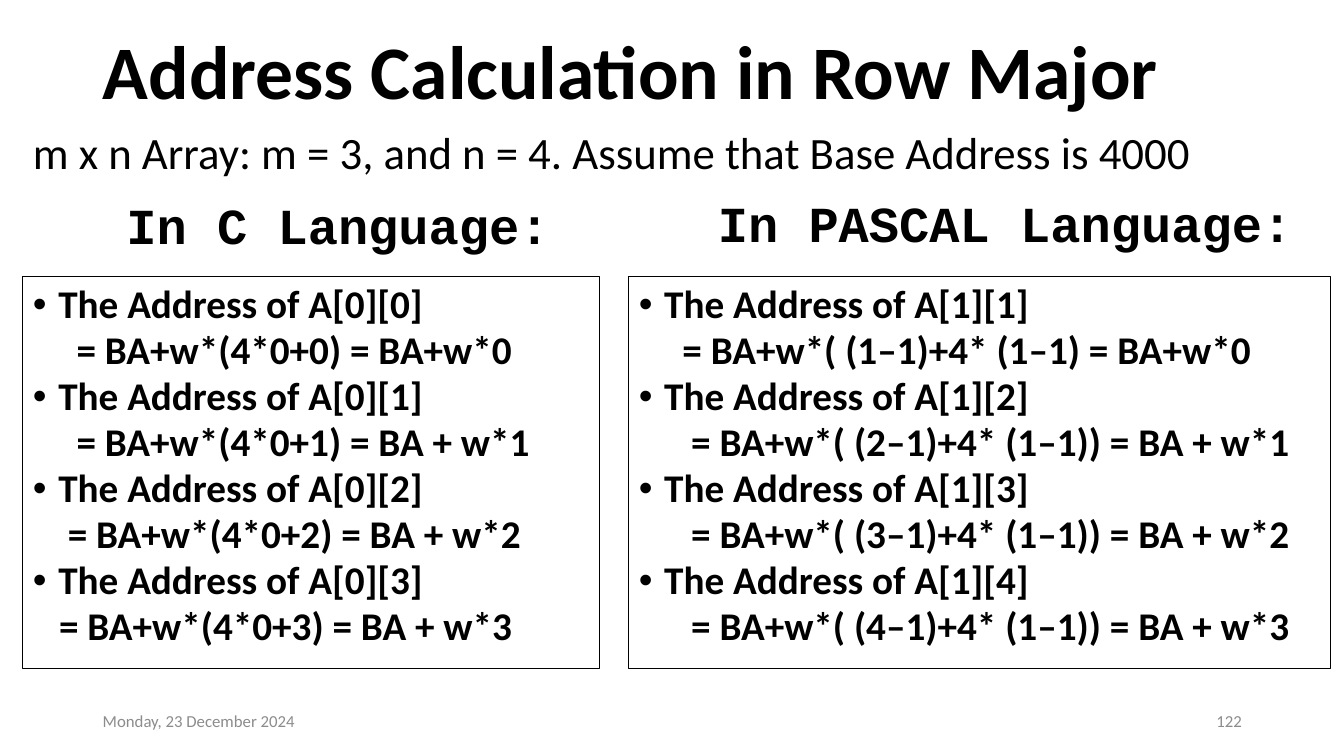
import pptx
import pptx.dml.color
import pptx.enum.shapes
import pptx.enum.text
import pptx.util
from lxml import etree
from pptx.oxml.ns import qn

Cm = pptx.util.Cm
Pt = pptx.util.Pt
ALIGN = pptx.enum.text.PP_ALIGN
ANCHOR = pptx.enum.text.MSO_ANCHOR

BLACK = pptx.dml.color.RGBColor(0x00, 0x00, 0x00)
GREY = pptx.dml.color.RGBColor(0x8C, 0x8C, 0x8C)

BULLET_INDENT = 0.64
FORMULA_STEP = 0.22

C_STEPS = [
    ("[0][0]", 5, "= BA+w*(4*0+0) = BA+w*0"),
    ("[0][1]", 5, "= BA+w*(4*0+1) = BA + w*1"),
    ("[0][2]", 4, "= BA+w*(4*0+2) = BA + w*2"),
    ("[0][3]", 3, "= BA+w*(4*0+3) = BA + w*3"),
]
PASCAL_STEPS = [
    ("[1][1]", 5, "= BA+w*( (1–1)+4* (1–1) = BA+w*0"),
    ("[1][2]", 6, "= BA+w*( (2–1)+4* (1–1)) = BA + w*1"),
    ("[1][3]", 6, "= BA+w*( (3–1)+4* (1–1)) = BA + w*2"),
    ("[1][4]", 6, "= BA+w*( (4–1)+4* (1–1)) = BA + w*3"),
]


def assign(target, values):
    for name, value in values.items():
        setattr(target, name, value)


class LectureSlide:
    title_font = {"name": "Calibri", "size": Pt(54), "bold": True}
    intro_font = {"name": "Calibri", "size": Pt(32), "bold": False}
    heading_font = {"name": "Courier New", "size": Pt(36), "bold": True}
    step_font = {"name": "Calibri", "size": Pt(28), "bold": True}
    footer_font = {"name": "Calibri", "size": Pt(12), "bold": False}

    def __init__(self, deck):
        self.slide = deck.slides.add_slide(deck.slide_layouts[5])

    def place(self, box, area):
        assign(box, dict(zip(("left", "top", "width", "height"), map(Cm, area))))

    def fill_line(self, paragraph, text, font, color=BLACK, **layout):
        paragraph.text = text
        assign(paragraph, layout)
        assign(paragraph.font, font)
        paragraph.font.color.rgb = color

    def title(self, text, area):
        heading = self.slide.shapes.title
        self.place(heading, area)
        assign(heading.text_frame, {
            "word_wrap": True,
            "auto_size": pptx.enum.text.MSO_AUTO_SIZE.NONE,
            "vertical_anchor": ANCHOR.MIDDLE,
        })
        self.fill_line(heading.text_frame.paragraphs[0], text, self.title_font,
                       alignment=ALIGN.LEFT, line_spacing=0.9)

    def text(self, text, area, font, anchor, color=BLACK, **layout):
        frame = self.slide.shapes.add_textbox(*map(Cm, area)).text_frame
        assign(frame, {"word_wrap": True, "vertical_anchor": anchor})
        self.fill_line(frame.paragraphs[0], text, font, color, **layout)

    def heading(self, text, area):
        self.text(text, area, self.heading_font, ANCHOR.BOTTOM,
                  alignment=ALIGN.CENTER, line_spacing=0.9)

    def footer(self, text, left, alignment):
        self.text(text, (left, 17.65, 7.62, 1.02), self.footer_font,
                  ANCHOR.MIDDLE, GREY, alignment=alignment)

    def indent(self, paragraph, margin, hanging=0, bullet=None):
        properties = paragraph._p.get_or_add_pPr()
        properties.set("marL", str(Cm(margin)))
        properties.set("indent", str(Cm(-hanging)))
        if bullet:
            etree.SubElement(properties, qn("a:buFont")).set("typeface", "Arial")
            etree.SubElement(properties, qn("a:buChar")).set("char", bullet)

    def steps(self, steps, left, width):
        panel = self.slide.shapes.add_shape(
            pptx.enum.shapes.MSO_SHAPE.RECTANGLE,
            Cm(left), Cm(6.96), Cm(width), Cm(9.88))
        panel.shadow.inherit = False
        panel.fill.background()
        panel.line.color.rgb = BLACK
        panel.line.width = Pt(0.75)
        frame = panel.text_frame
        assign(frame, {"word_wrap": True, "vertical_anchor": ANCHOR.TOP})
        layout = {"alignment": ALIGN.LEFT, "line_spacing": 0.98}
        for number, (element, depth, formula) in enumerate(steps):
            address = frame.add_paragraph() if number else frame.paragraphs[0]
            self.indent(address, BULLET_INDENT, BULLET_INDENT, "•")
            self.fill_line(address, f"The Address of A{element}", self.step_font, **layout)
            result = frame.add_paragraph()
            self.indent(result, depth * FORMULA_STEP)
            self.fill_line(result, formula, self.step_font, **layout)


def main():
    deck = pptx.Presentation()
    assign(deck, {"slide_width": Cm(33.87), "slide_height": Cm(19.05)})
    lecture = LectureSlide(deck)
    lecture.title("Address Calculation in Row Major", (2.34, 0.58, 29.21, 2.64))
    lecture.heading("In C Language:", (0.38, 5.05, 16.28, 1.5))
    lecture.steps(C_STEPS, 0.58, 14.53)
    lecture.heading("In PASCAL Language:", (17.15, 4.67, 16.36, 1.83))
    lecture.steps(PASCAL_STEPS, 15.85, 17.68)
    lecture.footer("Monday, 23 December 2024", 2.34, ALIGN.LEFT)
    lecture.footer("122", 23.93, ALIGN.RIGHT)
    lecture.text("m x n Array: m = 3, and n = 4. Assume that Base Address is 4000",
                 (0.58, 3.02, 33.12, 1.63), lecture.intro_font, ANCHOR.TOP)
    deck.save("out.pptx")


if __name__ == "__main__":
    main()
